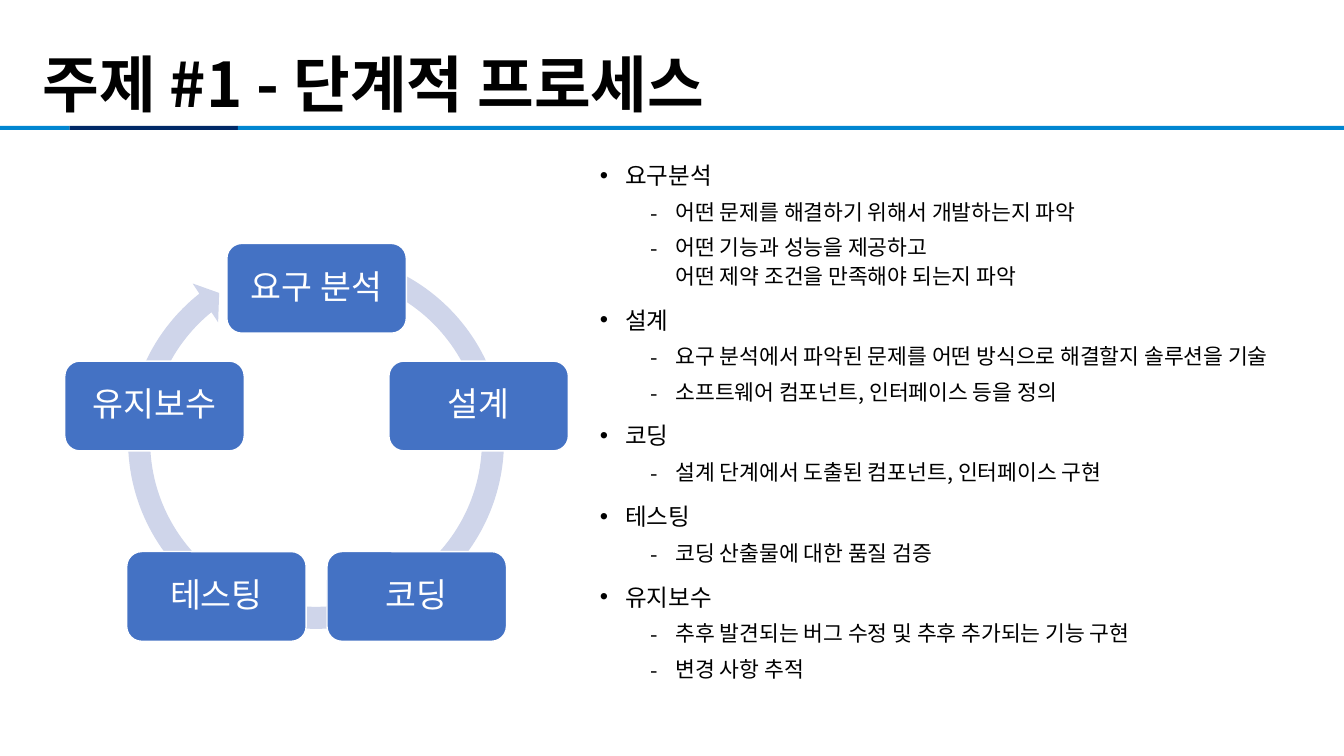
"""Build a slide that pairs a five-step process ring with its notes."""
from copy import deepcopy
from math import cos, radians, sin

from lxml import etree
from pptx import Presentation
from pptx.dml.color import RGBColor
from pptx.enum.shapes import MSO_SHAPE
from pptx.enum.text import MSO_ANCHOR, MSO_AUTO_SIZE, PP_ALIGN
from pptx.oxml.ns import qn
from pptx.util import Inches, Pt

RECT, ROUND, ARC = MSO_SHAPE.RECTANGLE, MSO_SHAPE.ROUNDED_RECTANGLE, MSO_SHAPE.CIRCULAR_ARROW
LEFT, CENTER = PP_ALIGN.LEFT, PP_ALIGN.CENTER
TOP, MIDDLE, BOTTOM = MSO_ANCHOR.TOP, MSO_ANCHOR.MIDDLE, MSO_ANCHOR.BOTTOM
FIXED = MSO_AUTO_SIZE.NONE

FONT = "Noto Sans CJK KR"
BLACK, WHITE, NODE, RING = "000000", "FFFFFF", "4472C4", "CFD5EA"
NAVY, BLUE = "002967", "0186D1"
TITLE = "주제 #1 - 단계적 프로세스"
STEPS = ["요구 분석", "설계", "코딩", "테스팅", "유지보수"]
NOTES = [
    ("요구분석", ["어떤 문제를 해결하기 위해서 개발하는지 파악",
              "어떤 기능과 성능을 제공하고\v어떤 제약 조건을 만족해야 되는지 파악"]),
    ("설계", ["요구 분석에서 파악된 문제를 어떤 방식으로 해결할지 솔루션을 기술",
            "소프트웨어 컴포넌트, 인터페이스 등을 정의"]),
    ("코딩", ["설계 단계에서 도출된 컴포넌트, 인터페이스 구현"]),
    ("테스팅", ["코딩 산출물에 대한 품질 검증"]),
    ("유지보수", ["추후 발견되는 버그 수정 및 추후 추가되는 기능 구현", "변경 사항 추적"]),
]

WIDE, HIGH = 13.33, 7.5
BARS = [(0.69, BLUE), (1.67, NAVY), (WIDE - 2.36, BLUE)]
BAR_TOP, BAR_HIGH = 1.25, 0.04
MID_X, MID_Y, RADIUS = 3.14, 4.55, 1.69
NODE_W, NODE_H = 1.78, 0.89
ARC_BOX = (1.15, 2.39, 3.97, 3.97)
ARC_ADJ = (0.055, 3.307, 138.778, 173.243, 0.058)


def color(code):
    """Turn a hex string into a colour."""
    return RGBColor.from_string(code)


def place(item, left, top, width, height):
    """Move and size a placeholder."""
    item.left, item.top = Inches(left), Inches(top)
    item.width, item.height = Inches(width), Inches(height)


def draw(slide, kind, box, fill, line=None):
    """Add a flat preset shape."""
    item = slide.shapes.add_shape(kind, *map(Inches, box))
    item.shadow.inherit = False
    item.fill.solid()
    item.fill.fore_color.rgb = color(fill)
    if line:
        item.line.color.rgb = color(line)
        item.line.width = Pt(1)
    else:
        item.line.fill.background()
    return item


def write(para, text, size, tint=BLACK, bold=False, align=LEFT, space=0.9, before=0):
    """Fill a paragraph with formatted text."""
    para.text = text
    para.alignment, para.line_spacing = align, space
    para.space_before = Pt(before)
    for run in para.runs:
        font = run.font
        font.name, font.size, font.bold = FONT, Pt(size), bold
        font.color.rgb = color(tint)
        etree.SubElement(font._element, qn("a:ea"), typeface=FONT)
    for gap in para._p.findall(qn("a:br")):
        gap.append(deepcopy(para.runs[0].font._element))


def bullet(para, mark, indent):
    """Give a paragraph a bullet and a hanging indent."""
    props = para._p.get_or_add_pPr()
    props.set("marL", str(Inches(indent)))
    props.set("indent", str(-Inches(0.25)))
    etree.SubElement(props, qn("a:buFont"), typeface="Arial" if mark == "•" else FONT)
    etree.SubElement(props, qn("a:buChar"), char=mark)


def head(slide):
    """Draw the title and the striped rule below it."""
    left = 0
    for width, fill in BARS:
        draw(slide, RECT, (left, BAR_TOP, width, BAR_HIGH), fill)
        left += width
    title = slide.shapes.title
    place(title, 0.32, 0.4, 12.64, 0.85)
    frame = title.text_frame
    frame.auto_size, frame.vertical_anchor = FIXED, BOTTOM
    write(frame.paragraphs[0], TITLE, 44, bold=True)


def ring(slide):
    """Draw the steps clockwise around the arrow."""
    arc = draw(slide, ARC, ARC_BOX, RING)
    for spot, value in enumerate(ARC_ADJ):
        arc.adjustments[spot] = value
    for spot, step in enumerate(STEPS):
        turn = radians(360 / len(STEPS) * spot)
        left = MID_X + RADIUS * sin(turn) - NODE_W / 2
        top = MID_Y - RADIUS * cos(turn) - NODE_H / 2
        node = draw(slide, ROUND, (left, top, NODE_W, NODE_H), NODE, WHITE)
        node.text_frame.vertical_anchor = MIDDLE
        write(node.text_frame.paragraphs[0], step, 24, WHITE, align=CENTER)


def notes(slide):
    """Fill the body with each step and its details."""
    body = slide.placeholders[1]
    place(body, 5.85, 1.52, 7.42, 5.85)
    frame = body.text_frame
    frame.auto_size, frame.vertical_anchor = FIXED, TOP
    lines = []
    for name, parts in NOTES:
        lines += [(0, name)] + [(1, part) for part in parts]
    for spot, (level, text) in enumerate(lines):
        para = frame.add_paragraph() if spot else frame.paragraphs[0]
        para.level = level
        size, before, mark, indent = [(16.8, 10, "•", 0.25), (15.4, 5, "-", 0.75)][level]
        write(para, text, size, space=1.1, before=before)
        bullet(para, mark, indent)


def main():
    """Build and save the deck."""
    deck = Presentation()
    deck.slide_width, deck.slide_height = Inches(WIDE), Inches(HIGH)
    slide = deck.slides.add_slide(deck.slide_layouts[1])
    head(slide)
    ring(slide)
    notes(slide)
    deck.save("out.pptx")


if __name__ == "__main__":
    main()
